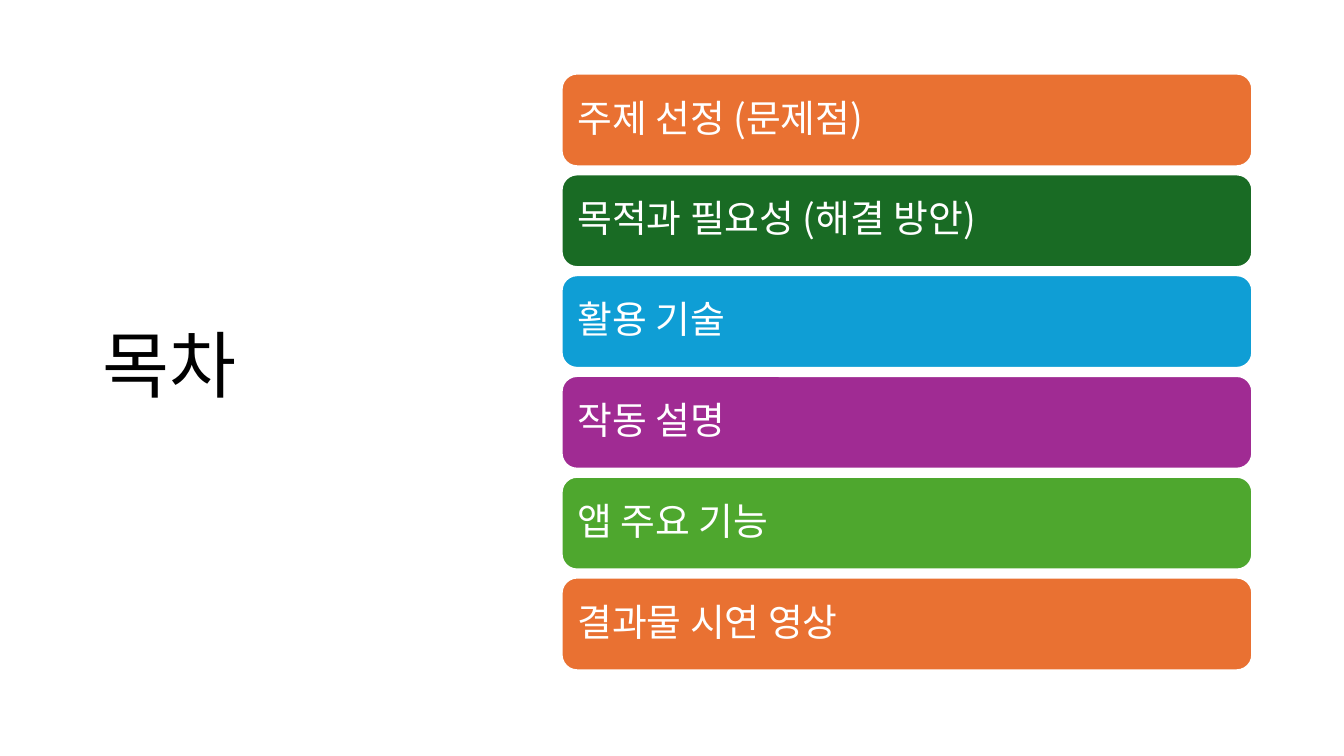
from lxml import etree
from pptx import Presentation
from pptx import util as u
from pptx.dml.color import RGBColor
from pptx.enum import shapes, text
from pptx.oxml.ns import qn

BLACK = RGBColor(0x00, 0x00, 0x00)
WHITE = RGBColor(0xFF, 0xFF, 0xFF)
ORANGE = RGBColor(0xE9, 0x71, 0x32)
DARK_GREEN = RGBColor(0x19, 0x6B, 0x24)
BLUE = RGBColor(0x0F, 0x9E, 0xD5)
PURPLE = RGBColor(0xA0, 0x2B, 0x93)
GREEN = RGBColor(0x4E, 0xA7, 0x2E)

AGENDA = [
    ("주제 선정 (문제점)", ORANGE),
    ("목적과 필요성 (해결 방안)", DARK_GREEN),
    ("활용 기술", BLUE),
    ("작동 설명", PURPLE),
    ("앱 주요 기능", GREEN),
    ("결과물 시연 영상", ORANGE),
]


class AgendaSlide:
    """Holds the style and the slide; the agenda grid has one-inch rows."""

    FONT = "Noto Sans CJK KR"
    LEFT, TOP = 5.57, 0.73
    WIDTH, HEIGHT, ROW = 6.85, 0.92, 1.0

    def __init__(self, prs):
        self.s = prs.slides.add_slide(prs.slide_layouts[5])

    def set_text(self, sp, words, size, color):
        tf = sp.text_frame
        tf.text = words
        tf.word_wrap = True
        tf.auto_size = text.MSO_AUTO_SIZE.NONE
        tf.vertical_anchor = text.MSO_ANCHOR.MIDDLE
        p = tf.paragraphs[0]
        p.alignment = text.PP_ALIGN.LEFT
        p.line_spacing = 0.9
        p.font.size = u.Pt(size)
        p.font.color.rgb = color
        p.font.name = self.FONT
        # Hangul takes its typeface from the East Asian font slot
        props = p._p.find(".//" + qn("a:defRPr"))
        etree.SubElement(props, qn("a:ea"), typeface=self.FONT)
        return tf

    def title(self, words):
        sp = self.s.shapes.title
        sp.left, sp.top = u.Inches(0.92), u.Inches(0.61)
        sp.width, sp.height = u.Inches(3.69), u.Inches(6.09)
        self.set_text(sp, words, 52, BLACK)

    def bar(self, row, words, color):
        sp = self.s.shapes.add_shape(
            shapes.MSO_SHAPE.ROUNDED_RECTANGLE,
            u.Inches(self.LEFT), u.Inches(self.TOP + row * self.ROW),
            u.Inches(self.WIDTH), u.Inches(self.HEIGHT))
        sp.shadow.inherit = False
        sp.fill.solid()
        sp.fill.fore_color.rgb = color
        sp.line.color.rgb = WHITE
        sp.line.width = u.Pt(1.5)
        tf = self.set_text(sp, words, 27, WHITE)
        tf.margin_left = tf.margin_right = u.Inches(0.11)
        tf.margin_top = tf.margin_bottom = u.Inches(0.11)


def main():
    prs = Presentation()
    prs.slide_width, prs.slide_height = u.Inches(13.33), u.Inches(7.5)
    slide = AgendaSlide(prs)

    # Title on the left
    slide.title("목차")

    # Agenda bars on the right
    for row, (words, color) in enumerate(AGENDA):
        slide.bar(row, words, color)

    prs.save("out.pptx")


if __name__ == "__main__":
    main()
